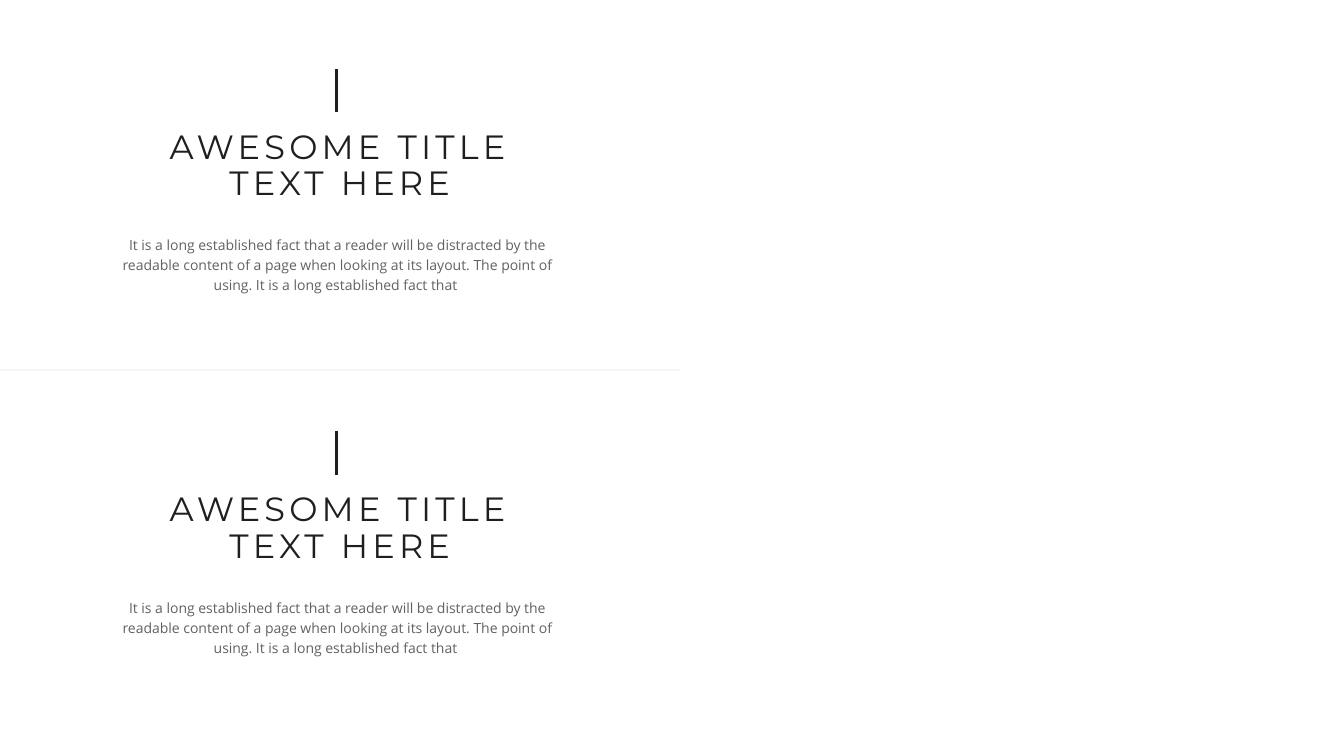
from copy import deepcopy

from pptx import Presentation
from pptx import util as u
from pptx.dml.color import RGBColor
from pptx.enum import shapes, text
from pptx.oxml.ns import qn
from lxml import etree

COLORS = {"ink": "1F1F1F"}
TITLE = "AWESOME TITLE\nTEXT HERE"
BODY = ("It is a long established fact that a reader will be distracted by the "
        "readable content of a page when looking at its layout. The point of "
        "using. It is a long established fact that ")
TITLE_STYLE = {"font": {"name": "Montserrat", "size": u.Pt(24), "bold": False},
               "spacing": 0.9, "tracking": 3, "opacity": 100}
BODY_STYLE = {"font": {"name": "Open Sans", "size": u.Pt(10), "bold": False},
              "spacing": 1.2, "tracking": 0, "opacity": 70}
FRAME = {"margin_left": 0, "margin_right": 0,
         "margin_top": u.Inches(0.05), "margin_bottom": u.Inches(0.05),
         "word_wrap": True, "vertical_anchor": text.MSO_ANCHOR.TOP,
         "auto_size": text.MSO_AUTO_SIZE.SHAPE_TO_FIT_TEXT}
BLOCK_STEP = 3.6


def set_attributes(target, values):
    for name, value in values.items():
        setattr(target, name, value)


def set_color(color, name, opacity):
    color.rgb = RGBColor.from_string(COLORS[name])
    if opacity < 100:
        clr = color._xFill.find(qn("a:srgbClr"))
        etree.SubElement(clr, qn("a:alpha"), val=str(opacity * 1000))


def write_text(sp, box, content, style):
    set_attributes(sp, dict(zip(("left", "top", "width", "height"), map(u.Inches, box))))
    tf = sp.text_frame
    set_attributes(tf, FRAME)
    p = tf.paragraphs[0]
    p.text = content
    set_attributes(p, {"alignment": text.PP_ALIGN.CENTER, "space_before": u.Pt(0),
                       "line_spacing": style["spacing"]})
    for r in p.runs:
        set_attributes(r.font, style["font"])
        r.font.fill.solid()
        set_color(r.font.fill.fore_color, "ink", style["opacity"])
        rPr = r._r.get_or_add_rPr()
        rPr.set("spc", str(style["tracking"] * 100))
    for br in p._p.findall(qn("a:br")):
        br.append(deepcopy(rPr))


def add_line(s, start, end, width, opacity=100):
    line = s.shapes.add_connector(shapes.MSO_CONNECTOR.STRAIGHT,
                                  *map(u.Inches, start + end))
    line.line.width = u.Pt(width)
    line.line.fill.solid()
    set_color(line.line.fill.fore_color, "ink", opacity)
    etree.SubElement(line._element.spPr, qn("a:effectLst"))


def add_block(s, offset, title, body):
    add_line(s, (3.34, 0.68 + offset), (3.34, 1.11 + offset), 2)
    write_text(title, (0.71, 1.24 + offset, 5.32, 0.83), TITLE, TITLE_STYLE)
    write_text(body, (1.17, 2.26 + offset, 4.35, 0.71), BODY, BODY_STYLE)


def main():
    prs = Presentation()
    prs.slide_width, prs.slide_height = u.Inches(13.33), u.Inches(7.5)
    s = prs.slides.add_slide(prs.slide_layouts.get_by_name("Comparison"))
    holders = {sp.placeholder_format.idx: sp for sp in s.placeholders}
    for idx in (2, 4):
        holders[idx]._element.getparent().remove(holders[idx]._element)

    add_line(s, (0, 3.67), (6.75, 3.67), 0.5, opacity=10)
    lower_title = s.shapes.add_textbox(0, 0, 0, 0)
    blocks = ((s.shapes.title, holders[1]), (lower_title, holders[3]))
    for i, (title, body) in enumerate(blocks):
        add_block(s, i * BLOCK_STEP, title, body)
    prs.save("out.pptx")


if __name__ == "__main__":
    main()
